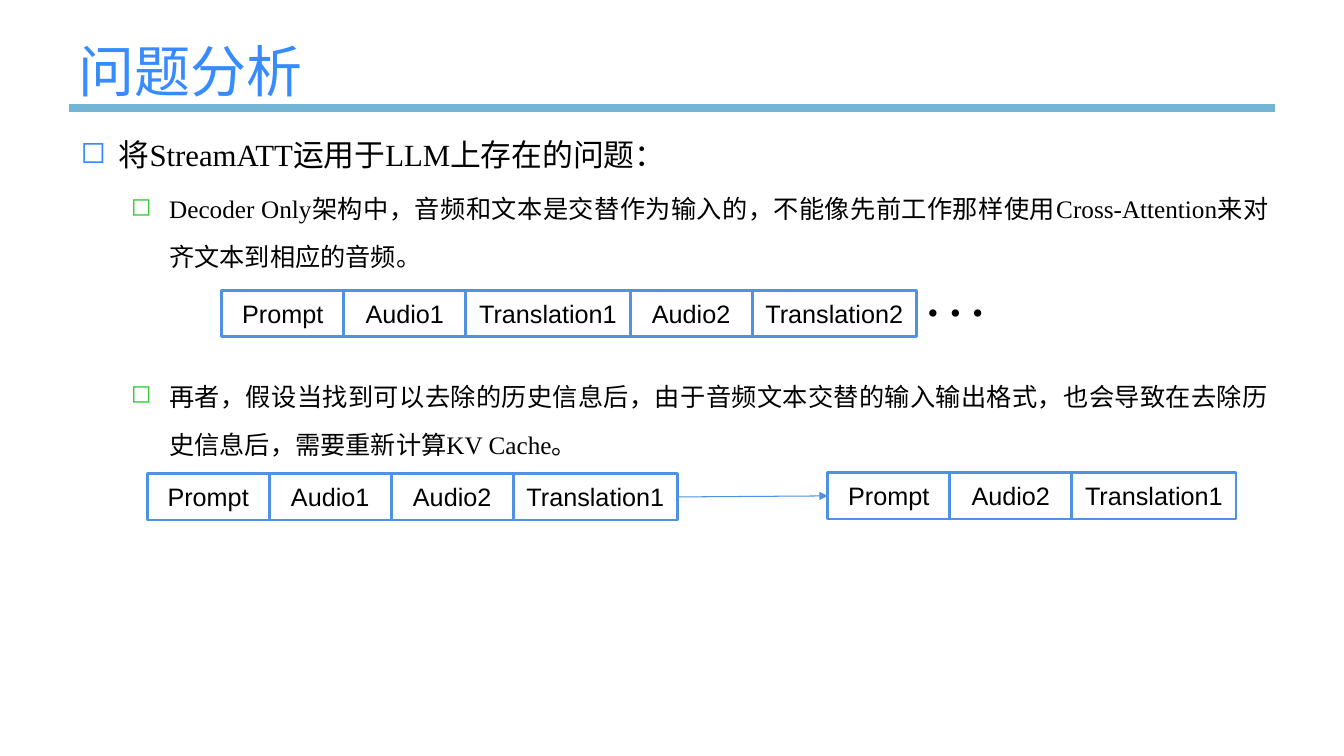
from lxml.etree import SubElement
from pptx import Presentation
from pptx.dml.color import RGBColor
from pptx.enum.shapes import MSO_CONNECTOR as Link, MSO_SHAPE as Preset
from pptx.enum.text import MSO_ANCHOR as Anchor, MSO_AUTO_SIZE as Fit, PP_ALIGN as Align
from pptx.oxml.ns import qn
from pptx.util import Inches, Pt

TITLE_BLUE = RGBColor(0x36, 0x8C, 0xFF)
RULE_BLUE = RGBColor(0x74, 0xB5, 0xD6)
BOX_BLUE = RGBColor(0x4F, 0x91, 0xE3)
GREEN = RGBColor(0x33, 0xCC, 0x33)
BLACK = RGBColor(0, 0, 0)
WHITE = RGBColor(0xFF, 0xFF, 0xFF)

SERIF, SANS = "Times New Roman", "Arial"
SHORT, LONG, HEIGHT = 1.21, 1.63, 0.46

TOPIC = {"level": 0, "size": 22, "spacing": 1.5, "left": 0.38, "bullet": TITLE_BLUE}
DETAIL = {"level": 1, "size": 18, "spacing": 1.6, "left": 0.88, "bullet": GREEN}
POINTS = [
    ("将StreamATT运用于LLM上存在的问题：", TOPIC, 0),
    ("Decoder Only架构中，音频和文本是交替作为输入的，不能像先前工作那样使用"
     "Cross-Attention来对齐文本到相应的音频。", DETAIL, 2),
    ("再者，假设当找到可以去除的历史信息后，由于音频文本交替的输入输出格式，"
     "也会导致在去除历史信息后，需要重新计算KV Cache。", DETAIL, 65),
]


def apply(target, values):
    for name, value in values.items():
        setattr(target, name, value)


def write(para, text, name, size, color, bold=False):
    span = para.add_run()
    span.text = text
    apply(span.font, {"name": name, "size": Pt(size), "bold": bold})
    span.font.color.rgb = color


def add_title(page, text):
    title = page.shapes.title
    apply(title, {"left": Inches(0.68), "top": Inches(0.28),
                  "width": Inches(12), "height": Inches(0.63)})
    apply(title.text_frame, {"auto_size": Fit.NONE, "vertical_anchor": Anchor.TOP,
                             "margin_top": Inches(0.08), "word_wrap": True})
    para = title.text_frame.paragraphs[0]
    para.alignment = Align.LEFT
    write(para, text, SERIF, 40, TITLE_BLUE)


def add_line(page, start, end, color, width):
    line = page.shapes.add_connector(Link.STRAIGHT, *map(Inches, start + end))
    line.line.color.rgb = color
    line.line.width = Pt(width)
    SubElement(line.element.spPr, qn("a:effectLst"))
    return line


def add_text_box(page, left, top, width, height):
    box = page.shapes.add_textbox(*map(Inches, (left, top, width, height)))
    box.text_frame.word_wrap = True
    return box.text_frame


def add_bullet(para, left, color):
    properties = para._p.get_or_add_pPr()
    properties.set("marL", str(Inches(left)))
    properties.set("indent", str(-Inches(0.38)))
    tint = SubElement(properties, qn("a:buClr"))
    SubElement(tint, qn("a:srgbClr")).set("val", str(color))
    SubElement(properties, qn("a:buChar")).set("char", "◻")


def add_points(page):
    frame = add_text_box(page, 0.7, 1.11, 11.98, 2.64)
    for index, (text, style, gap) in enumerate(POINTS):
        para = frame.add_paragraph() if index else frame.paragraphs[0]
        apply(para, {"level": style["level"], "alignment": Align.JUSTIFY,
                     "line_spacing": style["spacing"], "space_before": Pt(gap)})
        add_bullet(para, style["left"], style["bullet"])
        write(para, text, SERIF, style["size"], BLACK)


def add_token(page, label, left, top, width):
    box = page.shapes.add_shape(
        Preset.RECTANGLE, *map(Inches, (left, top, width, HEIGHT)))
    box.shadow.inherit = False
    box.fill.solid()
    box.fill.fore_color.rgb = WHITE
    box.line.color.rgb = BOX_BLUE
    box.line.width = Pt(2)
    apply(box.text_frame, {"vertical_anchor": Anchor.MIDDLE, "word_wrap": True})
    para = box.text_frame.paragraphs[0]
    para.alignment = Align.CENTER
    write(para, label, SANS, 18, BLACK)
    return box


def add_sequence(page, left, top, labels):
    boxes = []
    for label in labels:
        width = LONG if label.startswith("Translation") else SHORT
        boxes.append(add_token(page, label, left, top, width))
        left += width
    return boxes


def add_arrow(page, source, target):
    arrow = add_line(page, (6.75, 4.94), (8.18, 4.93), BOX_BLUE, 0.75)
    arrow.begin_connect(source, 3)
    arrow.end_connect(target, 1)
    SubElement(arrow.line._get_or_add_ln(), qn("a:tailEnd")).set("type", "triangle")


def add_ellipsis(page):
    para = add_text_box(page, 9.1, 2.88, 0.83, 0.41).paragraphs[0]
    para.line_spacing = 0.5
    write(para, ". . .", SERIF, 32, BLACK, bold=True)


def main():
    deck = Presentation()
    apply(deck, {"slide_width": Inches(13.33), "slide_height": Inches(7.5)})
    page = deck.slides.add_slide(deck.slide_layouts.get_by_name("Title Only"))
    add_line(page, (0.68, 1.07), (12.65, 1.07), RULE_BLUE, 6)
    add_title(page, "问题分析")
    add_points(page)
    add_sequence(page, 2.2, 2.88,
                 ["Prompt", "Audio1", "Translation1", "Audio2", "Translation2"])
    add_ellipsis(page)
    before = add_sequence(page, 1.46, 4.7,
                          ["Prompt", "Audio1", "Audio2", "Translation1"])
    after = add_sequence(page, 8.21, 4.69, ["Prompt", "Audio2", "Translation1"])
    add_arrow(page, before[-1], after[0])
    deck.save("out.pptx")


if __name__ == "__main__":
    main()
